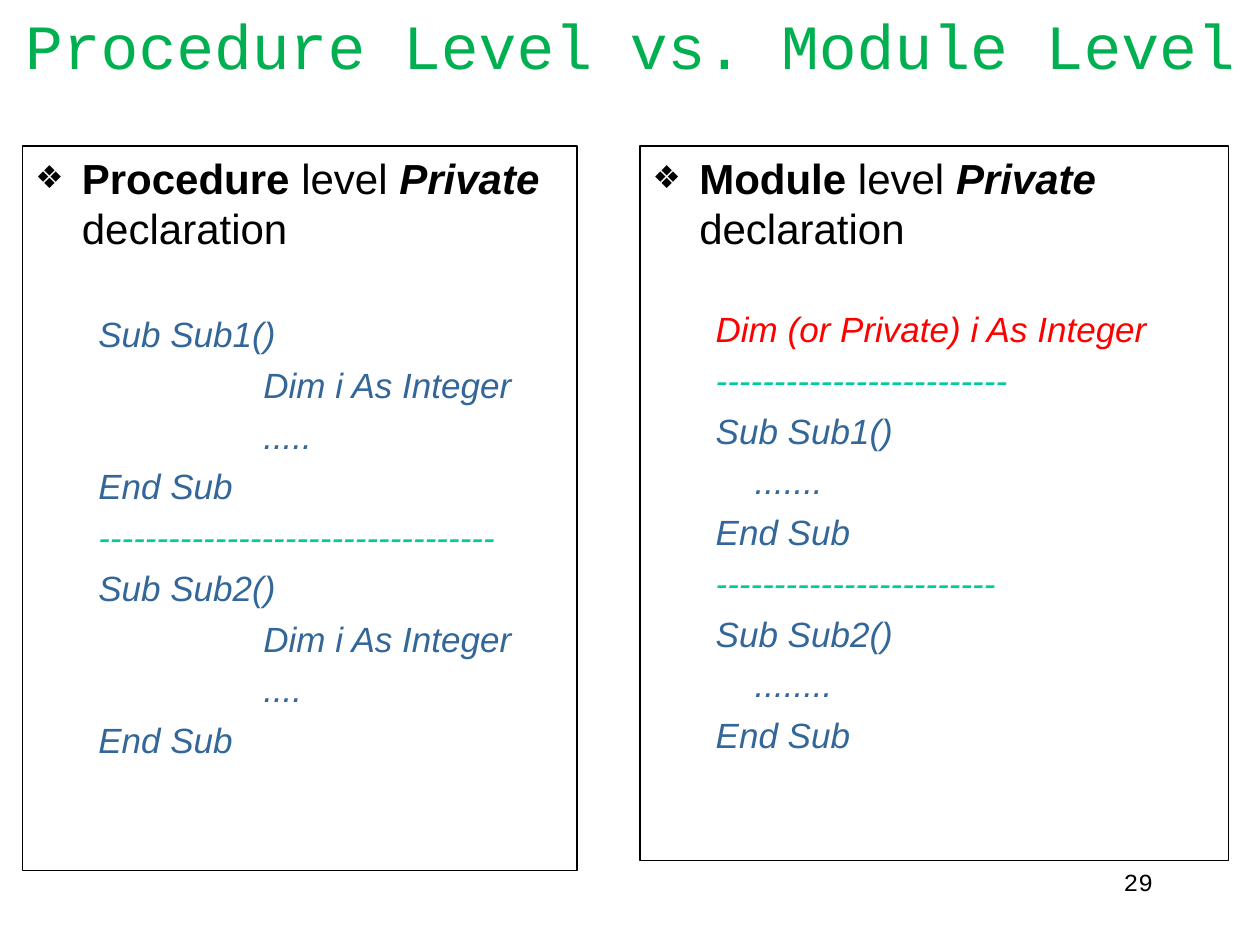
from lxml import etree
from pptx import Presentation
from pptx.dml.color import RGBColor
from pptx.enum import text
from pptx.oxml import ns
from pptx.util import Inches, Pt

BLACK = RGBColor(0x00, 0x00, 0x00)
TITLE_GREEN = RGBColor(0x00, 0xB0, 0x50)
CODE_BLUE = RGBColor(0x33, 0x66, 0x99)
RULE_GREEN = RGBColor(0x00, 0xCC, 0x99)
SCOPE_RED = RGBColor(0xFF, 0x00, 0x00)


def add_property(parent, tag, **attributes):
    """Append a drawing element with the given attributes."""
    element = etree.SubElement(parent, ns.qn("a:" + tag))
    for name, value in attributes.items():
        element.set(name, str(value))
    return element


def format_run(run, font_name, size, color, bold=False, italic=False):
    run.font.name = font_name
    run.font.size = Pt(size)
    run.font.color.rgb = color
    run.font.bold = bold
    run.font.italic = italic


presentation = Presentation()
presentation.slide_width = Inches(10)
presentation.slide_height = Inches(7.5)
slide = presentation.slides.add_slide(presentation.slide_layouts[3])
title, left_body, right_body = slide.placeholders

# Title
title.left, title.top, title.width, title.height = 0, 0, Inches(10), Inches(1)
title_frame = title.text_frame
title_frame.text = "Procedure Level vs. Module Level"
title_frame.auto_size = text.MSO_AUTO_SIZE.NONE
title_frame.vertical_anchor = text.MSO_ANCHOR.TOP
title_frame.paragraphs[0].alignment = text.PP_ALIGN.CENTER
format_run(title_frame.paragraphs[0].runs[0], "Courier New", 36, TITLE_GREEN)

# Comparison panels: placeholder, box, scope word, gap above the code, code lines
panels = [
    (left_body, (0.18, 1.16, 4.4, 5.75), "Procedure", 34, [
        "Sub Sub1()",
        "\t\tDim i As Integer",
        "\t\t.....",
        "End Sub",
        "-" * 34,
        "Sub Sub2()",
        "\t\tDim i As Integer",
        "\t\t....",
        "End Sub",
    ]),
    (right_body, (5.08, 1.16, 4.67, 5.67), "Module", 31, [
        "Dim (or Private) i As Integer",
        "-" * 25,
        "Sub Sub1()",
        "\t.......",
        "End Sub",
        "-" * 24,
        "Sub Sub2()",
        "\t........",
        "End Sub",
    ]),
]

for body, box, scope, code_gap, code_lines in panels:
    body.left, body.top, body.width, body.height = map(Inches, box)
    body.line.color.rgb = BLACK
    body.line.width = Pt(0.75)
    frame = body.text_frame
    frame.auto_size = text.MSO_AUTO_SIZE.NONE

    # Bulleted heading
    heading = frame.paragraphs[0]
    heading.space_before = Pt(0)
    properties = heading._p.get_or_add_pPr()
    properties.set("marL", str(Inches(0.37)))
    properties.set("indent", str(Inches(-0.37)))
    add_property(add_property(properties, "buClr"), "srgbClr", val=BLACK)
    add_property(properties, "buSzPct", val=75000)
    add_property(properties, "buChar", char="❖")
    for words, bold, italic in [(scope, True, False), (" level ", False, False),
                                ("Private", True, True), (" declaration", False, False)]:
        run = heading.add_run()
        run.text = words
        format_run(run, "Arial", 24, BLACK, bold, italic)

    # Code listing
    for number, line in enumerate(code_lines):
        paragraph = frame.add_paragraph()
        paragraph.text = line
        paragraph.level = 1
        paragraph.space_before = Pt(5 if number else code_gap)
        properties = paragraph._p.get_or_add_pPr()
        properties.set("marL", str(Inches(0.81)))
        properties.set("indent", str(Inches(-0.31)))
        properties.set("defTabSz", str(Inches(1)))
        add_property(properties, "buNone")
        tabs = add_property(properties, "tabLst")
        for stop in range(8):
            add_property(tabs, "tab", pos=Inches(stop), algn="l")
        if line.startswith("-"):
            color = RULE_GREEN
        elif line.startswith("Dim"):
            color = SCOPE_RED
        else:
            color = CODE_BLUE
        format_run(paragraph.runs[0], "Arial", 20, color, italic=True)

# Page number
page_number = slide.shapes.add_textbox(Inches(8.67), Inches(6.83), Inches(0.58), Inches(0.5))
page_number.text_frame.word_wrap = True
page_number.text_frame.text = "29"
page_number.text_frame.paragraphs[0].alignment = text.PP_ALIGN.RIGHT
format_run(page_number.text_frame.paragraphs[0].runs[0], "Courier New", 14, BLACK)

presentation.save("out.pptx")
